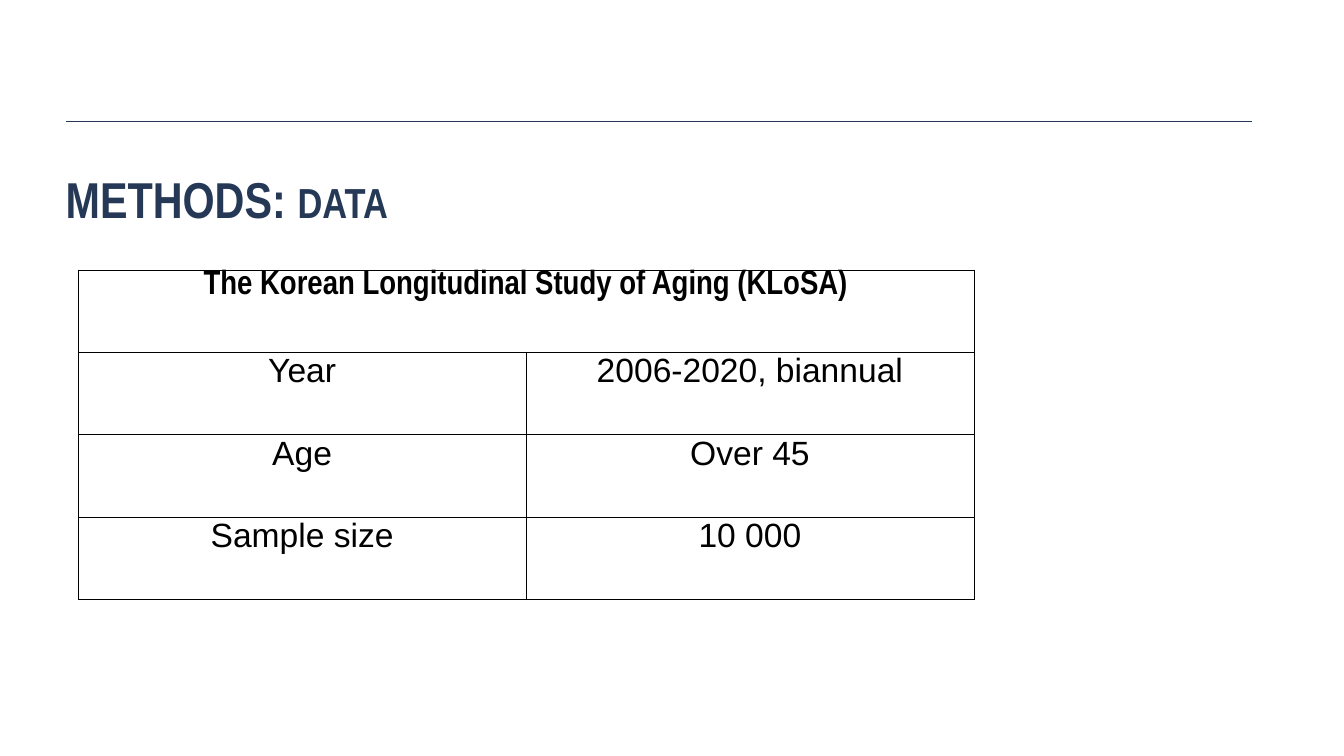
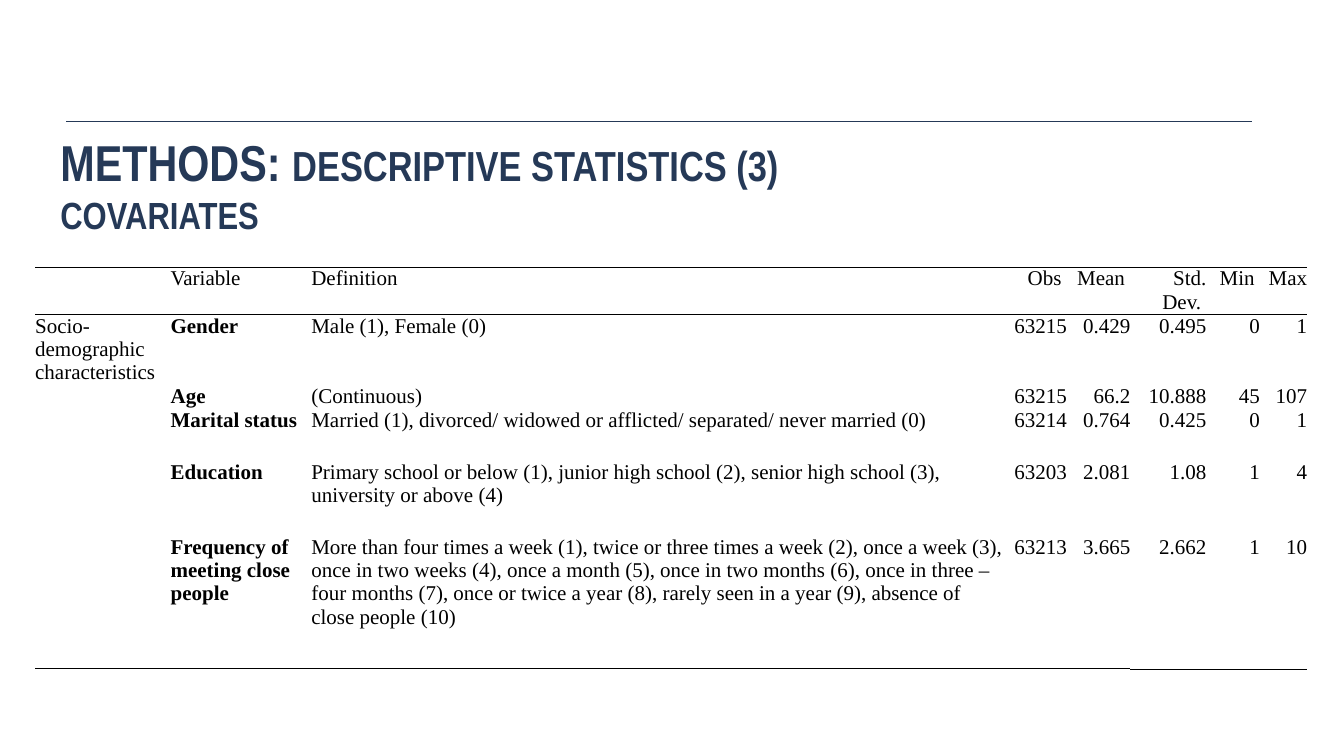
"""Build two method slides: the survey data and the covariate statistics."""
from lxml import etree
from pptx import Presentation
from pptx.dml.color import RGBColor
from pptx.enum.shapes import MSO_CONNECTOR
from pptx.enum.text import MSO_ANCHOR, MSO_AUTO_SIZE, PP_ALIGN
from pptx.oxml.ns import qn
from pptx.util import Pt

PX = 9525
WIDE, HIGH = 2560, 1440
NAVY = RGBColor(0x25, 0x39, 0x57)
BLACK = RGBColor(0, 0, 0)
LEFT, MID, RIGHT = PP_ALIGN.LEFT, PP_ALIGN.CENTER, PP_ALIGN.RIGHT
TOP = MSO_ANCHOR.TOP
FIXED = MSO_AUTO_SIZE.NONE
STRAIGHT = MSO_CONNECTOR.STRAIGHT
PLAIN = "{2D5ABB26-0587-4C30-8999-92F81FD0307C}"
SIDES = ("L", "R", "T", "B")
RULE = (126, 232, 2384, 232)

HEAD = {"name": "Arial Narrow", "bold": True}
BODY = {"name": "Arial", "bold": False, "size": Pt(48)}
STAT = {"name": "Times New Roman", "bold": False, "size": Pt(30)}

DATA = {
    "title": [[("METHODS: ", 72), ("DATA", 60)]],
    "spot": (117, 312, 2258, 243),
    "at": (149, 514),
    "cols": [853, 853],
    "rows": [157] * 4,
    "cells": [
        ("The Korean Longitudinal Study of Aging (KLoSA)", ""),
        ("Year", "2006-2020, biannual"),
        ("Age", "Over 45"),
        ("Sample size", "10 000"),
    ],
}

STATS = {
    "title": [[("METHODS: ", 72), ("DESCRIPTIVE STATISTICS (3)", 60)],
              [("COVARIATES", 54)]],
    "spot": (107, 241, 2258, 243),
    "at": (67, 509),
    "cols": [258, 268, 1318, 121, 121, 145, 102, 90],
    "rows": [90, 134, 45, 100, 142, 254],
    "cells": [
        ("", "Variable", "Definition", " Obs ", " Mean ", " Std. Dev. ", " Min ", " Max "),
        ("Socio-demographic characteristics", "Gender", "Male (1), Female (0)",
         "63215", "0.429", "0.495", "0", "1"),
        ("", "Age", "(Continuous)", "63215", "66.2", "10.888", "45", "107"),
        ("", "Marital status",
         "Married (1), divorced/ widowed or afflicted/ separated/ never married (0)",
         "63214", "0.764", "0.425", "0", "1"),
        ("", "Education",
         "Primary school or below (1), junior high school (2), senior high school (3), "
         "university or above (4)", "63203", "2.081", "1.08", "1", "4"),
        ("", "Frequency of meeting close people",
         "More than four times a week (1), twice or three times a week (2), "
         "once a week (3), once in two weeks (4), once a month (5), "
         "once in two months (6), once in three – four months (7), "
         "once or twice a year (8), rarely seen in a year (9), "
         "absence of close people (10)", "63213", "3.665", "2.662", "1", "10"),
    ],
}


def apply(item, form):
    for key, value in form.items():
        setattr(item, key, value)


def write(para, text, form, color):
    run = para.add_run()
    run.text = text
    apply(run.font, form)
    run.font.color.rgb = color


def place(shape, spot):
    sides = ("left", "top", "width", "height")
    apply(shape, {side: n * PX for side, n in zip(sides, spot)})


def start(deck, page):
    slide = deck.slides.add_slide(deck.slide_layouts[5])
    title = slide.shapes.title
    place(title, page["spot"])
    frame = title.text_frame
    apply(frame, {"word_wrap": True, "auto_size": FIXED, "vertical_anchor": TOP})
    apply(frame, {"margin_" + side: 8 * PX for side in ("left", "top", "right", "bottom")})
    for i, line in enumerate(page["title"]):
        para = frame.add_paragraph() if i else frame.paragraphs[0]
        para.alignment = LEFT
        for text, size in line:
            write(para, text, {**HEAD, "size": Pt(size)}, NAVY)
    rule = slide.shapes.add_connector(STRAIGHT, *(n * PX for n in RULE))
    rule.line.color.rgb = NAVY
    rule.line.width = Pt(1)
    etree.SubElement(rule._element.spPr, qn("a:effectLst"))
    return slide


def edge(cell, widths):
    props = cell._tc.get_or_add_tcPr()
    for i, side in enumerate(SIDES):
        width = widths.get(side, 0)
        line = etree.Element(qn("a:ln" + side), w=str(int(Pt(width))))
        if width:
            fill = etree.SubElement(line, qn("a:solidFill"))
            etree.SubElement(fill, qn("a:srgbClr"), val=str(BLACK))
        else:
            etree.SubElement(line, qn("a:noFill"))
        props.insert(i, line)


def grid(slide, page, style):
    cols, rows = page["cols"], page["rows"]
    spot = (*page["at"], sum(cols), sum(rows))
    table = slide.shapes.add_table(len(rows), len(cols), *(n * PX for n in spot)).table
    apply(table, {"first_row": False, "horz_banding": False})
    table._tbl.tblPr[0].text = PLAIN
    for col, width in zip(table.columns, cols):
        col.width = width * PX
    for row, height in zip(table.rows, rows):
        row.height = height * PX
    for r, texts in enumerate(page["cells"]):
        for c, text in enumerate(texts):
            cell = table.cell(r, c)
            form, align, widths = style(r, c)
            apply(cell, {"margin_left": 0, "margin_right": 0, "margin_top": 0,
                         "margin_bottom": 0, "vertical_anchor": TOP})
            cell.fill.background()
            edge(cell, widths)
            para = cell.text_frame.paragraphs[0]
            para.alignment = align
            if text:
                write(para, text, form, BLACK)
    return table


def box(r, c):
    form = BODY if r else {**BODY, **HEAD}
    return form, MID, dict.fromkeys(SIDES, 1)


def ruled(r, c):
    form = {**STAT, "bold": r > 0 and c == 1}
    head = 1.5 if c > 2 else 1
    last = len(STATS["rows"]) - 1
    widths = {0: {"T": 1, "B": head}, 1: {"T": head},
              last: {"B": 0.5 if c > 4 else 1}}
    return form, RIGHT if c > 2 else LEFT, widths.get(r, {})


def main():
    deck = Presentation()
    deck.slide_width, deck.slide_height = WIDE * PX, HIGH * PX
    table = grid(start(deck, DATA), DATA, box)
    table.cell(0, 0).merge(table.cell(0, 1))
    grid(start(deck, STATS), STATS, ruled)
    deck.save("out.pptx")


if __name__ == "__main__":
    main()
